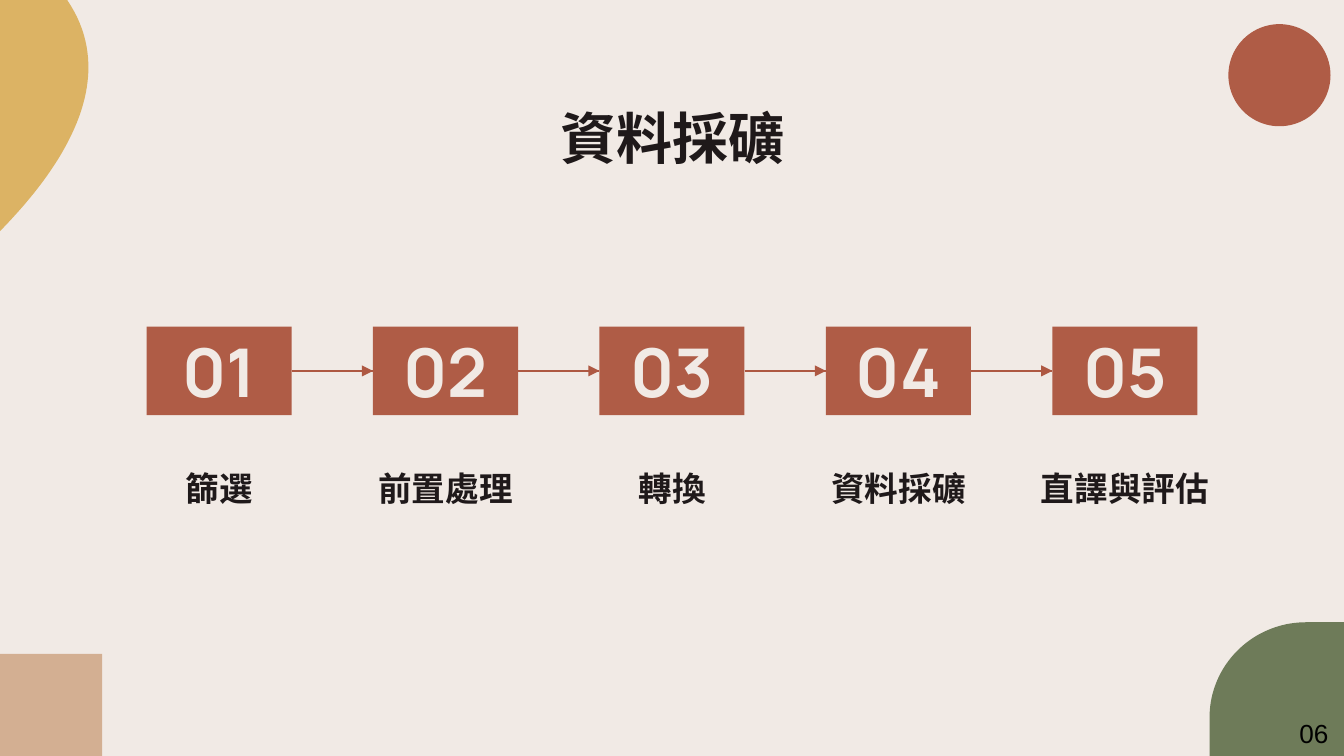
from pptx import Presentation
from pptx.dml.color import RGBColor
from pptx.enum.shapes import MSO_CONNECTOR, MSO_SHAPE
from pptx.enum.text import MSO_ANCHOR, PP_ALIGN
from pptx.oxml.ns import qn
from pptx.util import Inches, Pt
from lxml.etree import SubElement

CREAM = RGBColor(0xF1, 0xEA, 0xE5)
INK = RGBColor(0x1F, 0x19, 0x1A)
RUST = RGBColor(0xAF, 0x5C, 0x46)
ARROW = RGBColor(0xAE, 0x58, 0x42)
GREEN = RGBColor(0x6E, 0x7B, 0x59)
SAND = RGBColor(0xD3, 0xAF, 0x92)
GOLD = RGBColor(0xDC, 0xB3, 0x64)
BLACK = RGBColor(0, 0, 0)
FONT = "Manrope"
WIDE = 10
HIGH = WIDE * 9 / 16
STEPS = ["篩選", "前置處理", "轉換", "資料採礦", "直譯與評估"]
LEFT, LAST, BOX_W, BOX_H, BOX_TOP = 1.09, 7.83, 1.08, 0.66, 2.43
PITCH = (LAST - LEFT) / (len(STEPS) - 1)
NAME_W = 1.49


def write(shape, text, size, color, anchor, bold=True, font=FONT, align=PP_ALIGN.CENTER, inset=0.1):
    """Put one styled paragraph in a shape."""
    frame = shape.text_frame
    frame.word_wrap = True
    frame.vertical_anchor = anchor
    frame.margin_left = frame.margin_right = Inches(0.1)
    frame.margin_top = frame.margin_bottom = Inches(inset)
    para = frame.paragraphs[0]
    para.text = text
    para.alignment = align
    style = para.font
    style.name, style.size, style.bold = font, Pt(size), bold
    style.color.rgb = color


def paint(shape, color):
    """Give a shape a flat fill without line or shadow."""
    shape.shadow.inherit = False
    shape.fill.solid()
    shape.fill.fore_color.rgb = color
    shape.line.fill.background()
    return shape


def block(slide, kind, x, y, w, h, color):
    """Add a flat preset shape."""
    shape = slide.shapes.add_shape(kind, Inches(x), Inches(y), Inches(w), Inches(h))
    return paint(shape, color)


def label(slide, x, y, w, h, text, size, color, anchor, **style):
    """Add a text box."""
    box = slide.shapes.add_textbox(Inches(x), Inches(y), Inches(w), Inches(h))
    write(box, text, size, color, anchor, **style)


def curve(a, b, c, d, count=40):
    """Return points along a cubic curve."""
    steps = [i / count for i in range(count + 1)]
    return [
        tuple((1 - t) ** 3 * p + 3 * (1 - t) ** 2 * t * q + 3 * (1 - t) * t * t * r + t ** 3 * s
              for p, q, r, s in zip(a, b, c, d))
        for t in steps
    ]


def blob(slide, points, color):
    """Add a flat closed outline."""
    spots = [(Inches(x), Inches(y)) for x, y in points]
    pen = slide.shapes.build_freeform(*spots[0])
    pen.add_line_segments(spots[1:], close=True)
    paint(pen.convert_to_shape(), color)


def link(slide, x, end, y, color, width, head=False):
    """Add a level line, with an arrowhead on request."""
    line = slide.shapes.add_connector(
        MSO_CONNECTOR.STRAIGHT, Inches(x), Inches(y), Inches(end), Inches(y))
    line.line.color.rgb = color
    line.line.width = Pt(width)
    props = line._element.spPr
    if head:
        SubElement(props.find(qn("a:ln")), qn("a:tailEnd"), type="triangle")
    SubElement(props, qn("a:effectLst"))


def decor(slide):
    """Draw the four corner shapes."""
    arc = curve((9.72, 4.63), (9.32, 4.63), (9, 4.95), (9, 5.34))
    blob(slide, arc + [(9, HIGH), (WIDE, HIGH), (WIDE, 4.63)], GREEN)
    block(slide, MSO_SHAPE.RECTANGLE, 0, HIGH - 0.76, 0.76, 0.76, SAND)
    block(slide, MSO_SHAPE.OVAL, 9.14, 0.18, 0.76, 0.76, RUST)
    blob(slide, curve((0.5, 0), (0.88, 0.56), (0.52, 1.19), (0, 1.72)) + [(0, 0)], GOLD)


def flow(slide):
    """Draw the numbered steps and the arrows between them."""
    mid = BOX_TOP + BOX_H / 2
    for i, name in enumerate(STEPS):
        x = LEFT + i * PITCH
        box = block(slide, MSO_SHAPE.RECTANGLE, x, BOX_TOP, BOX_W, BOX_H, RUST)
        write(box, f"{i + 1:02}", 36, CREAM, MSO_ANCHOR.MIDDLE)
        label(slide, x - (NAME_W - BOX_W) / 2, 3.41, NAME_W, 0.47,
              name, 18, INK, MSO_ANCHOR.BOTTOM)
        if i:
            start = x - PITCH + BOX_W
            link(slide, start, x, mid, RUST, 1.5)
            link(slide, start, x, mid, ARROW, 0.75, True)


def main():
    """Build the slide."""
    deck = Presentation()
    deck.slide_width, deck.slide_height = Inches(WIDE), Inches(HIGH)
    slide = deck.slides.add_slide(deck.slide_layouts[5])
    slide.background.fill.solid()
    slide.background.fill.fore_color.rgb = CREAM
    decor(slide)
    title = slide.shapes.title
    title.left, title.top = Inches(0.79), Inches(0.67)
    title.width, title.height = Inches(8.43), Inches(0.52)
    write(title, "資料採礦", 30, INK, MSO_ANCHOR.TOP)
    flow(slide)
    label(slide, 9.57, 5.29, 0.43, 0.34, "06", 14, BLACK, MSO_ANCHOR.TOP,
          bold=False, font="Arial", align=PP_ALIGN.LEFT, inset=0.05)
    deck.save("out.pptx")


main()
